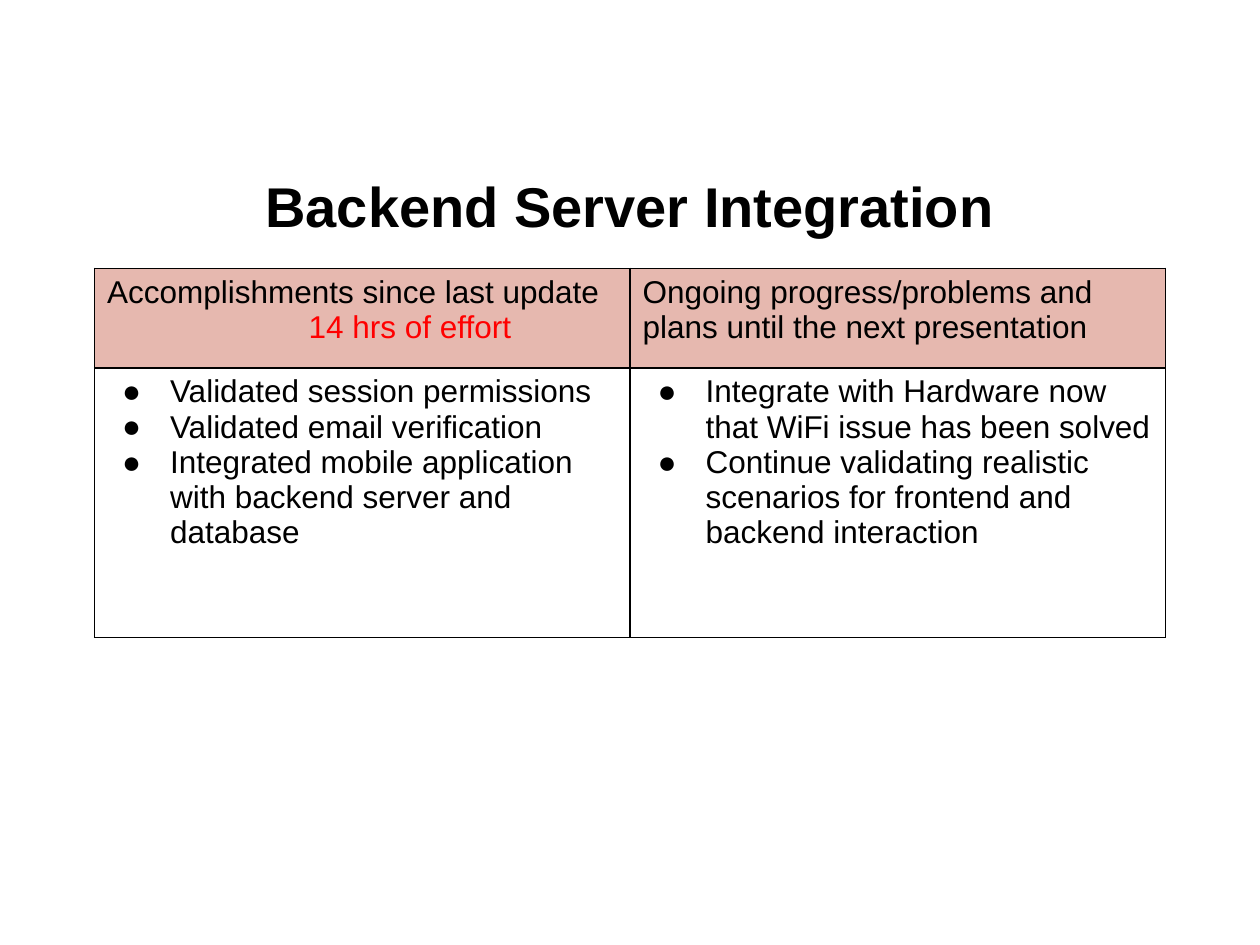
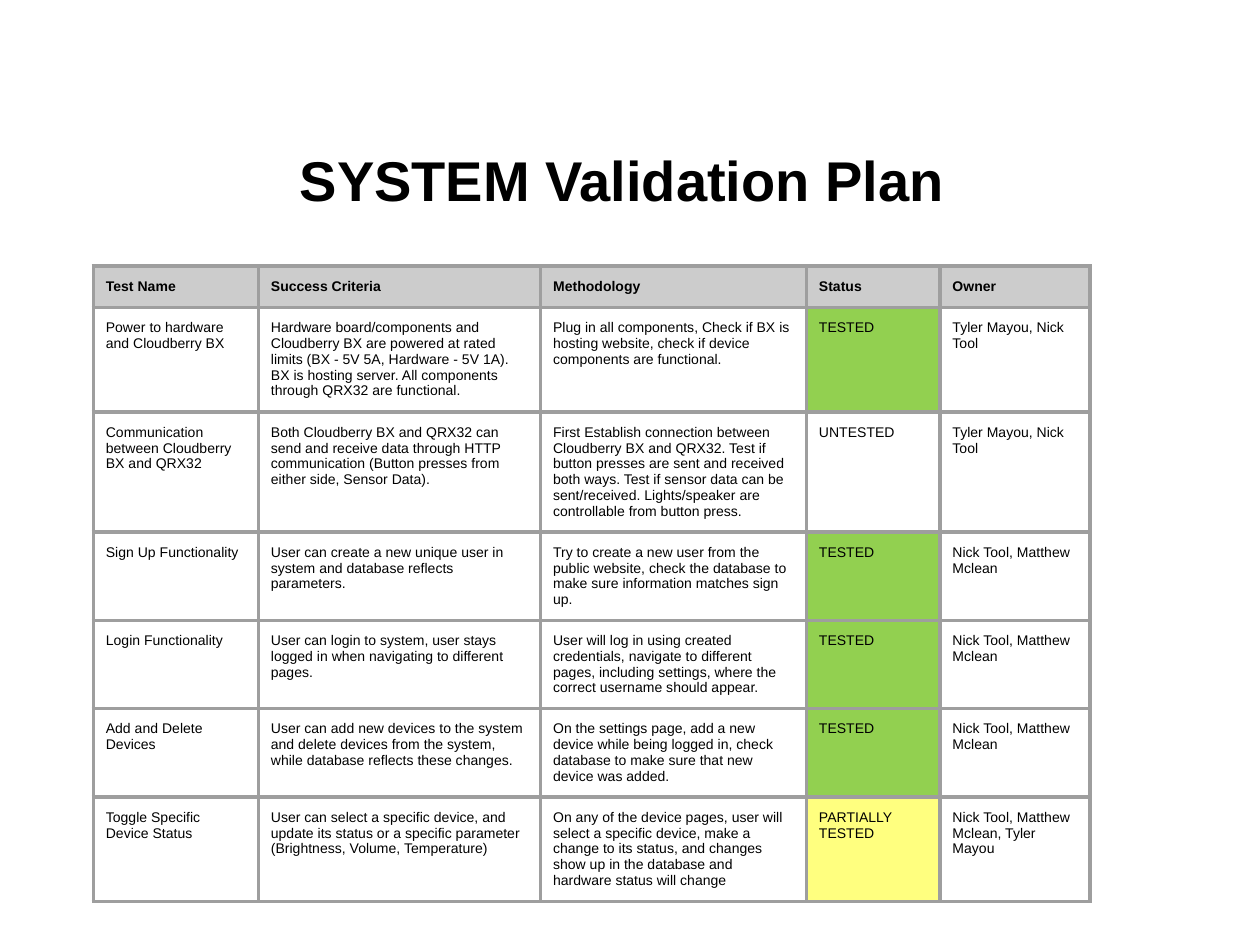
from dataclasses import dataclass
from typing import Optional

from lxml import etree
from pptx import Presentation
from pptx import util as u
from pptx.dml import color
from pptx.enum import text
from pptx.oxml import ns

PX = 9144  # EMU per px, 100 px to the inch
FONT = "Arial"
COLORS = {
    "ink": "000000",
    "effort": "FF0000",
    "update_header": "E6B8AF",
    "plan_header": "CCCCCC",
    "plan_border": "9E9E9E",
    "tested": "92D050",
    "partial": "FFFF00",
}


@dataclass(frozen=True)
class Line:
    """One paragraph of a table cell."""
    words: str
    color: str = "ink"
    bold: bool = False
    bullet: bool = False
    indent: int = 0


@dataclass(frozen=True)
class Cell:
    lines: list[Line]
    fill: Optional[str] = None
    opacity: int = 100


@dataclass(frozen=True)
class TableStyle:
    left: int
    top: int
    columns: list[int]
    rows: list[int]
    size: int
    border: str
    border_points: float
    margin_y: int


# Shared drawing
def rgb(name: str) -> color.RGBColor:
    return color.RGBColor.from_string(COLORS[name])


def add_element(parent, tag: str, **attributes: str):
    return etree.SubElement(parent, ns.qn(tag), attributes)


def set_font(paragraph, size: int, name: str = "ink", bold: bool = False) -> None:
    font = paragraph.font
    font.name, font.size, font.bold = FONT, u.Pt(size), bold
    font.color.rgb = rgb(name)


def add_titled_slide(presentation, title: str, top: int, spacing: float = 1.0):
    slide = presentation.slides.add_slide(presentation.slide_layouts[5])
    shape = slide.shapes.title
    shape.left, shape.top, shape.width, shape.height = (
        value * PX for value in (50, top, 900, 88))
    frame = shape.text_frame
    frame.text = title
    frame.auto_size = text.MSO_AUTO_SIZE.NONE
    frame.vertical_anchor = text.MSO_ANCHOR.MIDDLE
    paragraph = frame.paragraphs[0]
    paragraph.alignment = text.PP_ALIGN.CENTER
    paragraph.line_spacing = spacing
    set_font(paragraph, 32, bold=True)
    return slide


def write_line(paragraph, line: Line, size: int) -> None:
    paragraph.text = line.words
    properties = paragraph._p.get_or_add_pPr()
    if line.bullet:
        properties.set("marL", str(50 * PX))
        properties.set("indent", str(-38 * PX))
        bullet_color = add_element(properties, "a:buClr")
        add_element(bullet_color, "a:srgbClr", val=COLORS["ink"])
        add_element(properties, "a:buFont", typeface=FONT)
        add_element(properties, "a:buChar", char="●")
    elif line.indent:
        properties.set("marL", str(line.indent * PX))
    set_font(paragraph, size, line.color, line.bold)


def fill_cell(table_cell, content: Cell) -> None:
    if content.fill is None:
        table_cell.fill.background()
        return
    table_cell.fill.solid()
    table_cell.fill.fore_color.rgb = rgb(content.fill)
    if content.opacity < 100:
        hue = table_cell._tc.tcPr.find(".//" + ns.qn("a:srgbClr"))
        add_element(hue, "a:alpha", val=str(content.opacity * 1000))


def draw_borders(table_cell, style: TableStyle) -> None:
    properties = table_cell._tc.get_or_add_tcPr()
    for position, side in enumerate("LRTB"):
        border = add_element(properties, f"a:ln{side}", w=str(u.Pt(style.border_points)))
        solid = add_element(border, "a:solidFill")
        add_element(solid, "a:srgbClr", val=COLORS[style.border])
        properties.insert(position, border)


def draw_table(slide, style: TableStyle, grid: list[list[Cell]]) -> None:
    table = slide.shapes.add_table(
        len(style.rows), len(style.columns), style.left * PX, style.top * PX,
        sum(style.columns) * PX, sum(style.rows) * PX).table
    table.first_row = table.horz_banding = False
    for column, width in zip(table.columns, style.columns):
        column.width = width * PX
    for row, height, contents in zip(table.rows, style.rows, grid):
        row.height = height * PX
        for table_cell, content in zip(row.cells, contents):
            table_cell.margin_left = table_cell.margin_right = 10 * PX
            table_cell.margin_top = table_cell.margin_bottom = style.margin_y * PX
            frame = table_cell.text_frame
            for index, line in enumerate(content.lines):
                paragraph = frame.add_paragraph() if index else frame.paragraphs[0]
                write_line(paragraph, line, style.size)
            fill_cell(table_cell, content)
            draw_borders(table_cell, style)


# Backend update
UPDATE_STYLE = TableStyle(75, 213, [425, 425], [79, 214], 18, "ink", 1, 5)
UPDATE_HEADERS = [
    [Line("Accomplishments since last update"),
     Line("14 hrs of effort", "effort", indent=160)],
    [Line("Ongoing progress/problems and plans until the next presentation")],
]
UPDATE_BULLETS = [
    ["Validated session permissions",
     "Validated email verification",
     "Integrated mobile application with backend server and database"],
    ["Integrate with Hardware now that WiFi issue has been solved",
     "Continue validating realistic scenarios for frontend and backend interaction"],
]

# Validation plan
PLAN_STYLE = TableStyle(74, 211, [131, 224, 211, 106, 119],
                        [33, 83, 95, 70, 70, 70, 83], 8, "plan_border", 2.25, 10)
PLAN_HEADERS = ["Test Name", "Success Criteria", "Methodology", "Status", "Owner"]
STATUS_FILLS = {"TESTED": ("tested", 100), "PARTIALLY TESTED": ("partial", 50)}
HARDWARE_OWNERS = "Tyler Mayou, Nick Tool"
WEBSITE_OWNERS = "Nick Tool, Matthew Mclean"
PLAN_TESTS = [
    ["Power to hardware and Cloudberry BX",
     "Hardware board/components and Cloudberry BX are powered at rated limits "
     "(BX - 5V 5A, Hardware - 5V 1A). BX is hosting server. "
     "All components through QRX32 are functional.",
     "Plug in all components, Check if BX is hosting website, "
     "check if device components are functional.",
     "TESTED", HARDWARE_OWNERS],
    ["Communication between Cloudberry BX and QRX32",
     "Both Cloudberry BX and QRX32 can send and receive data through HTTP "
     "communication (Button presses from either side, Sensor Data).",
     "First Establish connection between Cloudberry BX and QRX32. "
     "Test if button presses are sent and received both ways. "
     "Test if sensor data can be sent/received. "
     "Lights/speaker are controllable from button press.",
     "UNTESTED", HARDWARE_OWNERS],
    ["Sign Up Functionality",
     "User can create a new unique user in system and database reflects parameters.",
     "Try to create a new user from the public website, check the database "
     "to make sure information matches sign up.",
     "TESTED", WEBSITE_OWNERS],
    ["Login Functionality",
     "User can login to system, user stays logged in when navigating to different pages.",
     "User will log in using created credentials, navigate to different pages, "
     "including settings, where the correct username should appear.",
     "TESTED", WEBSITE_OWNERS],
    ["Add and Delete Devices",
     "User can add new devices to the system and delete devices from the system, "
     "while database reflects these changes.",
     "On the settings page, add a new device while being logged in, "
     "check database to make sure that new device was added.",
     "TESTED", WEBSITE_OWNERS],
    ["Toggle Specific Device Status",
     "User can select a specific device, and update its status or a specific "
     "parameter (Brightness, Volume, Temperature)",
     "On any of the device pages, user will select a specific device, make a change "
     "to its status, and changes show up in the database and hardware status will change",
     "PARTIALLY TESTED", WEBSITE_OWNERS + ", Tyler Mayou"],
]


def build_update(presentation) -> None:
    slide = add_titled_slide(presentation, "Backend Server Integration", 115, 1.15)
    draw_table(slide, UPDATE_STYLE, [
        [Cell(lines, "update_header") for lines in UPDATE_HEADERS],
        [Cell([Line(item, bullet=True) for item in items]) for items in UPDATE_BULLETS],
    ])


def build_plan(presentation) -> None:
    slide = add_titled_slide(presentation, "SYSTEM Validation Plan ", 98)
    header = [Cell([Line(name, bold=True)], "plan_header") for name in PLAN_HEADERS]
    tests = [[Cell([Line(words)], *STATUS_FILLS.get(words, ())) for words in test]
             for test in PLAN_TESTS]
    draw_table(slide, PLAN_STYLE, [header, *tests])


def main() -> None:
    presentation = Presentation()
    presentation.slide_width, presentation.slide_height = 1000 * PX, 750 * PX
    build_update(presentation)
    build_plan(presentation)
    presentation.save("out.pptx")


if __name__ == "__main__":
    main()
